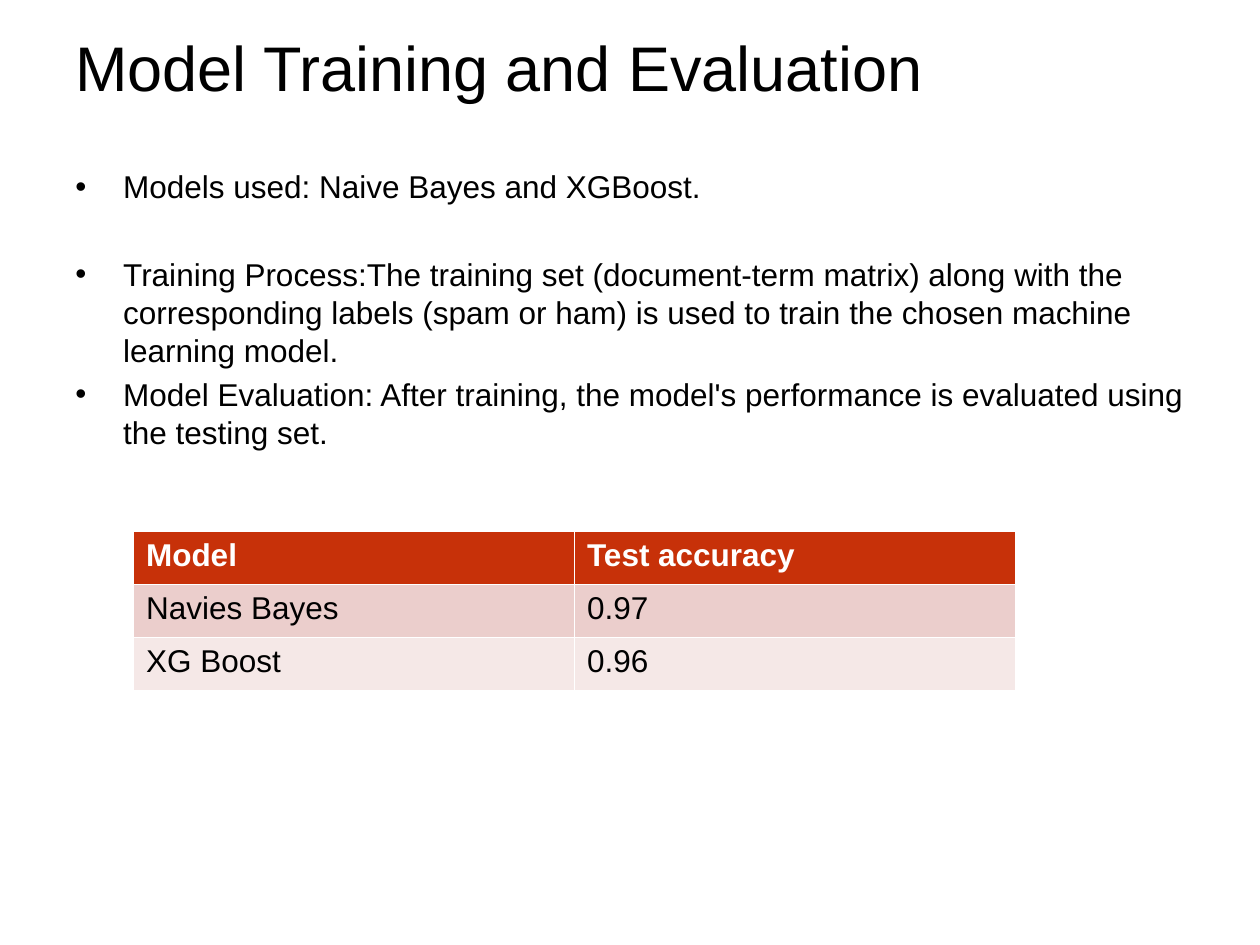
"""Build the slide on model training and evaluation."""
import lxml.etree
import pptx
import pptx.dml.color
import pptx.enum.text
import pptx.oxml.ns
import pptx.util

Inches = pptx.util.Inches
Pt = pptx.util.Pt
COLORS = {
    "text": "000000",
    "header_text": "FFFFFF",
    "header": "C73109",
    "row_odd": "EBCECC",
    "row_even": "F5E8E7",
}


def rgb(name):
    return pptx.dml.color.RGBColor.from_string(COLORS[name])


def write(paragraph, text, color, **font_format):
    run = paragraph.add_run()
    run.text = text
    run.font.color.rgb = rgb(color)
    for attribute, value in {"name": "Arial", **font_format}.items():
        setattr(run.font, attribute, value)


deck = pptx.Presentation()
deck.slide_width, deck.slide_height = Inches(10), Inches(7.5)
slide = deck.slides.add_slide(deck.slide_layouts[6])

title = slide.shapes.add_textbox(Inches(0.5), Inches(0.21), Inches(9), Inches(0.64)).text_frame
title.word_wrap = True
title.vertical_anchor = pptx.enum.text.MSO_ANCHOR.MIDDLE
write(title.paragraphs[0], "Model Training and Evaluation", "text", size=Pt(36))

body = slide.shapes.add_textbox(Inches(0.5), Inches(1.28), Inches(9), Inches(5.42)).text_frame
body.word_wrap = True
points = [
    ("Models used: Naive Bayes and XGBoost.", 3.6),
    ("Training Process:The training set (document-term matrix) along with the "
     "corresponding labels (spam or ham) is used to train the chosen machine "
     "learning model.", 28.5),
    ("Model Evaluation: After training, the model's performance is evaluated "
     "using the testing set.", 3.6),
]
for index, (point, space_before) in enumerate(points):
    paragraph = body.add_paragraph() if index else body.paragraphs[0]
    paragraph.space_before = Pt(space_before)
    properties = paragraph._p.get_or_add_pPr()
    properties.set("marL", str(Inches(0.38)))
    properties.set("indent", str(-Inches(0.38)))
    for tag, attribute, value in [("a:buFont", "typeface", "Arial"), ("a:buChar", "char", "•")]:
        lxml.etree.SubElement(properties, pptx.oxml.ns.qn(tag)).set(attribute, value)
    write(paragraph, point, "text", size=Pt(18))

results = [
    ("header", "header_text", ["Model", "Test accuracy"]),
    ("row_odd", "text", ["Navies Bayes", "0.97"]),
    ("row_even", "text", ["XG Boost", "0.96"]),
]
accuracy = slide.shapes.add_table(
    len(results), 2, Inches(1.06), Inches(4.22), Inches(7), Inches(0.42 * len(results))
).table
for row, (fill, color, values) in zip(accuracy.rows, results):
    row.height = Inches(0.42)
    for cell, value in zip(row.cells, values):
        cell.fill.solid()
        cell.fill.fore_color.rgb = rgb(fill)
        write(cell.text_frame.paragraphs[0], value, color, size=Pt(18), bold=fill == "header")

deck.save("out.pptx")
